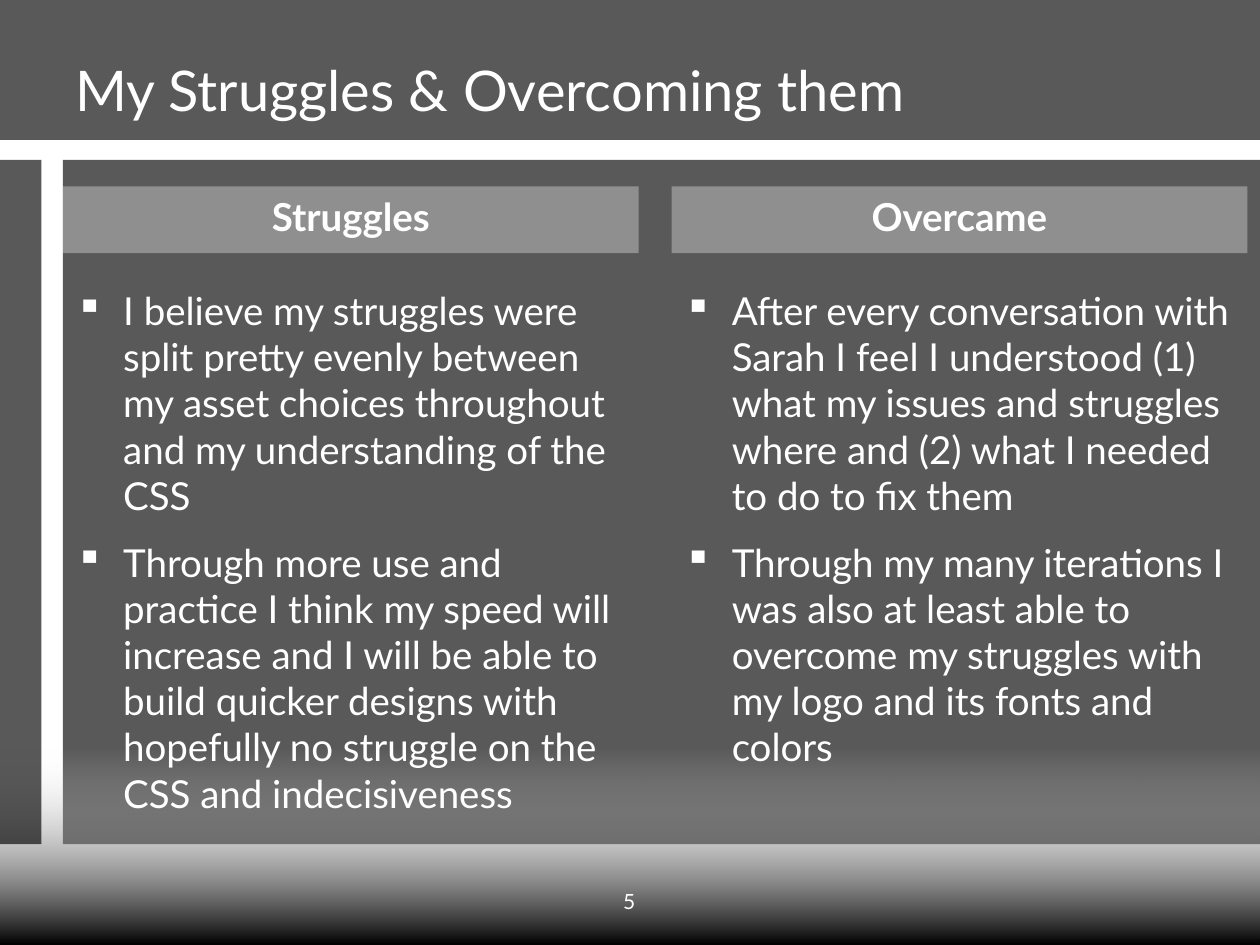
from dataclasses import dataclass

from lxml.etree import SubElement
from pptx import Presentation
from pptx.dml.color import RGBColor
from pptx.enum.shapes import MSO_SHAPE
from pptx.enum.text import MSO_ANCHOR, PP_ALIGN
from pptx.oxml import parse_xml
from pptx.oxml.ns import nsdecls, qn
from pptx.util import Inches, Pt


@dataclass(frozen=True)
class Theme:
    font: str = "Lato"
    dark: RGBColor = RGBColor(0, 0, 0)
    light: RGBColor = RGBColor(255, 255, 255)
    title_size: int = 32
    body_size: int = 22
    number_size: int = 12
    panel_opacity: int = 65
    heading_opacity: int = 33
    paragraph_gap: float = 11.8


THEME = Theme()

PANELS = [(0.5, 1.27, 9.5, 5.43), (0, 1.27, 0.33, 5.43), (0, 0, 10, 1.11)]
FADE_BOX = (0, 5.94, 10, 1.56)
COLUMN_LEFTS = (0.5, 5.33)
COLUMN_WIDTH = 4.57
HANGING_INDENT = Inches(0.38)

COLUMNS = [
    ("Struggles", [
        "I believe my struggles were split pretty evenly between my asset "
        "choices throughout and my understanding of the CSS",
        "Through more use and practice I think my speed will increase and I "
        "will be able to build quicker designs with hopefully no struggle on "
        "the CSS and indecisiveness",
    ]),
    ("Overcame", [
        "After every conversation with Sarah I feel I understood (1) what my "
        "issues and struggles where and (2) what I needed to do to fix them",
        "Through my many iterations I was also at least able to overcome my "
        "struggles with my logo and its fonts and colors",
    ]),
]


def set_format(target, values):
    for name, value in values.items():
        setattr(target, name, value)


def set_font(paragraph, size, bold=False):
    set_format(paragraph.font, {"name": THEME.font, "size": Pt(size), "bold": bold})
    paragraph.font.color.rgb = THEME.light


def add_rectangle(slide, box):
    shape = slide.shapes.add_shape(MSO_SHAPE.RECTANGLE, *map(Inches, box))
    shape.shadow.inherit = False
    shape.line.fill.background()
    return shape


def add_panel(slide, box, color, opacity):
    """Add a rectangle whose fill has the given opacity in percent."""
    shape = add_rectangle(slide, box)
    shape.fill.solid()
    shape.fill.fore_color.rgb = color
    color_element = shape.fill._xPr.find(qn("a:solidFill"))[0]
    SubElement(color_element, qn("a:alpha"), val=str(opacity * 1000))
    return shape


def add_fade(slide, box):
    """Add a gradient from dark at the bottom to transparent light at the top."""
    shape = add_rectangle(slide, box)
    gradient = parse_xml(
        f'<a:gradFill {nsdecls("a")} rotWithShape="1"><a:gsLst>'
        f'<a:gs pos="0"><a:srgbClr val="{THEME.dark}"/></a:gs>'
        f'<a:gs pos="100000"><a:srgbClr val="{THEME.light}">'
        '<a:alpha val="0"/></a:srgbClr></a:gs>'
        '</a:gsLst><a:lin ang="16200000" scaled="0"/></a:gradFill>'
    )
    shape._element.spPr.find(qn("a:prstGeom")).addnext(gradient)


def add_text(slide, box, text, size, anchor=MSO_ANCHOR.MIDDLE, align=PP_ALIGN.LEFT):
    frame = slide.shapes.add_textbox(*map(Inches, box)).text_frame
    set_format(frame, {"word_wrap": True, "vertical_anchor": anchor, "text": text})
    for paragraph in frame.paragraphs:
        paragraph.alignment = align
        set_font(paragraph, size)
    return frame


def add_bullets(slide, box, items):
    frame = add_text(slide, box, "\n".join(items), THEME.body_size, MSO_ANCHOR.TOP)
    for index, paragraph in enumerate(frame.paragraphs):
        properties = paragraph._p.get_or_add_pPr()
        properties.set("marL", str(HANGING_INDENT))
        properties.set("indent", str(-HANGING_INDENT))
        bullet = parse_xml(f'<a:buChar {nsdecls("a")} char="▪"/>')
        properties.find(qn("a:defRPr")).addprevious(bullet)
        if index:
            paragraph.space_before = Pt(THEME.paragraph_gap)


def add_heading(slide, box, text):
    shape = add_panel(slide, box, THEME.light, THEME.heading_opacity)
    frame = shape.text_frame
    set_format(frame, {"text": text, "vertical_anchor": MSO_ANCHOR.TOP})
    paragraph = frame.paragraphs[0]
    paragraph.alignment = PP_ALIGN.CENTER
    set_font(paragraph, THEME.body_size, bold=True)


def main():
    presentation = Presentation()
    set_format(presentation, {"slide_width": Inches(10), "slide_height": Inches(7.5)})
    slide = presentation.slides.add_slide(presentation.slide_layouts[6])
    slide.background.fill.solid()
    slide.background.fill.fore_color.rgb = THEME.light

    content_panel, *edge_panels = PANELS
    add_panel(slide, content_panel, THEME.dark, THEME.panel_opacity)
    add_fade(slide, FADE_BOX)
    for box in edge_panels:
        add_panel(slide, box, THEME.dark, THEME.panel_opacity)

    add_text(slide, (0.5, 0.3, 8.47, 0.81), "My Struggles & Overcoming them",
             THEME.title_size)
    for left, (heading, items) in zip(COLUMN_LEFTS, COLUMNS):
        add_bullets(slide, (left, 2.23, COLUMN_WIDTH, 4.47), items)
        add_heading(slide, (left, 1.48, COLUMN_WIDTH, 0.53), heading)
    add_text(slide, (3.83, 6.95, 2.33, 0.4), "5", THEME.number_size,
             align=PP_ALIGN.CENTER)

    presentation.save("out.pptx")


if __name__ == "__main__":
    main()
